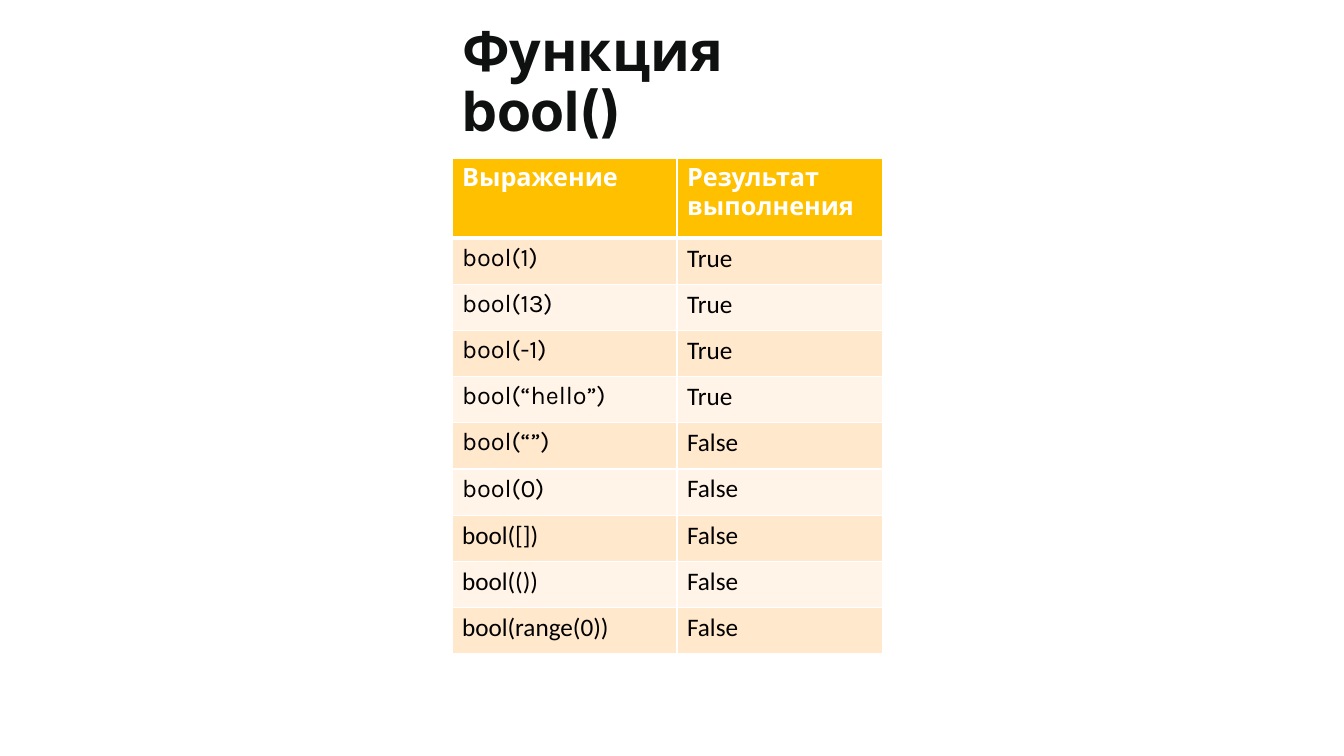
"""Build a slide with a table of bool() expressions and their results."""
from dataclasses import dataclass

from lxml import etree
from pptx import Presentation
from pptx.dml.color import RGBColor
from pptx.enum.text import MSO_ANCHOR, MSO_AUTO_SIZE, PP_ALIGN
from pptx.oxml.ns import qn
from pptx.slide import Slide
from pptx.table import _Cell
from pptx.util import Emu, Pt

LEFT = PP_ALIGN.LEFT
MIDDLE = MSO_ANCHOR.MIDDLE
NO_AUTOFIT = MSO_AUTO_SIZE.NONE
TITLE_ONLY = 5
EMU_PER_PX = 914400 / 100.8


@dataclass(frozen=True)
class Theme:
    ink: str = "0F1111"
    body_text: str = "000000"
    white: str = "FFFFFF"
    header: str = "FFC000"
    bands: tuple[str, str] = ("FFE8CC", "FFF4E7")
    title_size: float = 39.6
    table_size: int = 18
    rule: int = 1
    header_rule: int = 3
    display_font: str = "Karla"
    code_font: str = "Inter"
    plain_font: str = "Calibri"


@dataclass(frozen=True)
class Example:
    expression: str
    result: bool
    font: str


THEME = Theme()
HEADINGS = ("Выражение", "Результат выполнения")
EXAMPLES = (
    Example("bool(1)", True, THEME.display_font),
    Example("bool(13)", True, THEME.display_font),
    Example("bool(-1)", True, THEME.display_font),
    Example("bool(“hello”)", True, THEME.display_font),
    Example("bool(“”)", False, THEME.display_font),
    Example("bool(0)", False, THEME.display_font),
    Example("bool([])", False, THEME.plain_font),
    Example("bool(())", False, THEME.plain_font),
    Example("bool(range(0))", False, THEME.plain_font),
)
COLUMN_WIDTHS = (225, 206)
HEADER_HEIGHT = 80
BODY_HEIGHT = 416


def px(length: int) -> Emu:
    return Emu(round(length * EMU_PER_PX))


def rgb(color: str) -> RGBColor:
    return RGBColor.from_string(color)


def set_borders(cell: _Cell, top: int, bottom: int) -> None:
    properties = cell._tc.get_or_add_tcPr()
    widths = {"a:lnL": THEME.rule, "a:lnR": THEME.rule, "a:lnT": top, "a:lnB": bottom}
    for position, (side, width) in enumerate(widths.items()):
        line = etree.Element(qn(side), w=str(Pt(width)))
        fill = etree.SubElement(line, qn("a:solidFill"))
        etree.SubElement(fill, qn("a:srgbClr"), val=THEME.white)
        properties.insert(position, line)


def fill_cell(cell: _Cell, text: str, font_name: str, color: str, fill: str, bold: bool) -> None:
    cell.text = text
    cell.fill.solid()
    cell.fill.fore_color.rgb = rgb(fill)
    font = cell.text_frame.paragraphs[0].font
    font.name = font_name
    font.size = Pt(THEME.table_size)
    font.bold = bold
    font.color.rgb = rgb(color)


def add_title(slide: Slide) -> None:
    title = slide.shapes.title
    title.left, title.top, title.width, title.height = map(px, (452, 66, 440, 102))
    frame = title.text_frame
    frame.word_wrap = True
    frame.auto_size = NO_AUTOFIT
    frame.vertical_anchor = MIDDLE
    heading = frame.paragraphs[0]
    heading.alignment = LEFT
    heading.line_spacing = 0.9
    heading.font.size = Pt(THEME.title_size)
    heading.font.bold = True
    heading.font.color.rgb = rgb(THEME.ink)
    for text, font_name in (("Функция ", THEME.display_font), ("bool()", THEME.code_font)):
        run = heading.add_run()
        run.text = text
        run.font.name = font_name
    heading.add_line_break()


def add_examples(slide: Slide) -> None:
    table = slide.shapes.add_table(
        len(EXAMPLES) + 1, len(HEADINGS), px(452), px(158),
        px(sum(COLUMN_WIDTHS)), px(HEADER_HEIGHT + BODY_HEIGHT),
    ).table
    for column, width in zip(table.columns, COLUMN_WIDTHS):
        column.width = px(width)
    for row in table.rows:
        row.height = Emu(px(BODY_HEIGHT) // len(EXAMPLES))
    table.rows[0].height = px(HEADER_HEIGHT)

    for column, heading in enumerate(HEADINGS):
        cell = table.cell(0, column)
        fill_cell(cell, heading, THEME.display_font, THEME.white, THEME.header, True)
        set_borders(cell, THEME.rule, THEME.header_rule)
    for row, example in enumerate(EXAMPLES, start=1):
        band = THEME.bands[(row - 1) % len(THEME.bands)]
        top = THEME.header_rule if row == 1 else THEME.rule
        entries = ((example.expression, example.font), (str(example.result), THEME.plain_font))
        for column, (text, font_name) in enumerate(entries):
            cell = table.cell(row, column)
            fill_cell(cell, text, font_name, THEME.body_text, band, False)
            set_borders(cell, top, THEME.rule)


def main() -> None:
    deck = Presentation()
    deck.slide_width, deck.slide_height = px(1344), px(756)
    slide = deck.slides.add_slide(deck.slide_layouts[TITLE_ONLY])
    add_title(slide)
    add_examples(slide)
    deck.save("out.pptx")


if __name__ == "__main__":
    main()
